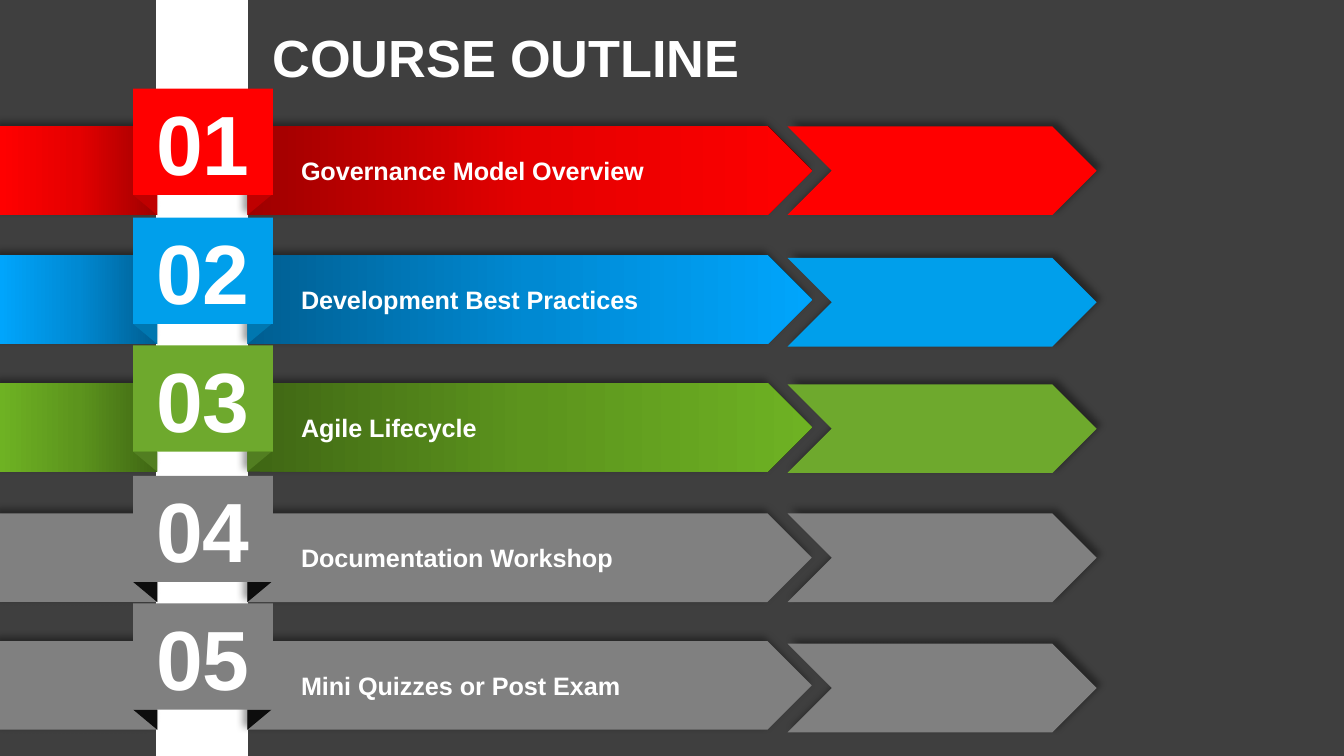
from collections import namedtuple
from copy import deepcopy

from lxml import etree
from pptx import Presentation
from pptx.dml.color import RGBColor
from pptx.enum.shapes import MSO_SHAPE
from pptx.enum.text import MSO_ANCHOR, PP_ALIGN
from pptx.oxml.ns import qn
from pptx.util import Inches, Pt

COLORS = {
    "background": "3F3F3F",
    "white": "FFFFFF",
    "shadow": "000000",
    "red": "FF0000",
    "red_fold": "BF0000",
    "red_bar": ("9E0000", "E40000", "FF0000"),
    "blue": "009FEB",
    "blue_fold": "0077B0",
    "blue_bar": ("005E91", "0089D2", "00A5FC"),
    "green": "6EA92D",
    "green_fold": "527E21",
    "green_bar": ("3F6614", "5C941D", "6EB223"),
    "gray": "808080",
    "gray_fold": "0D0D0D",
    "gray_bar": "808080",
}

Topic = namedtuple("Topic", "title color top chevron_top")
TOPICS = [
    Topic("Governance Model Overview", "red", 0.66, 0.94),
    Topic("Development Best Practices", "blue", 1.62, 1.92),
    Topic("Agile Lifecycle", "green", 2.57, 2.86),
    Topic("Documentation Workshop", "gray", 3.54, 3.82),
    Topic("Mini Quizzes or Post Exam", "gray", 4.49, 4.79),
]

SLIDE_WIDTH = 10
SLIDE_HEIGHT = SLIDE_WIDTH * 9 / 16
POLE_LEFT, POLE_WIDTH = 1.17, 0.67
POLE_RIGHT = POLE_LEFT + POLE_WIDTH
FOLD_WIDTH, FOLD_HEIGHT = 0.18, 0.15
BADGE_LEFT, BADGE_WIDTH, BADGE_HEIGHT = 0.99, 1.04, 0.79
BAR_OFFSET, BAR_HEIGHT = 0.28, 0.66


def rgb(name):
    return RGBColor.from_string(COLORS[name])


class OutlineSlide:
    font_name = "Arial"

    def __init__(self, presentation):
        self.slide = presentation.slides.add_slide(presentation.slide_layouts[6])
        background = self.slide.background.fill
        background.solid()
        background.fore_color.rgb = rgb("background")

    def shape(self, shapes, preset, left, top, width, height, color, angle=0):
        """Add a borderless shape; a colour that is a tuple becomes a gradient."""
        shape = shapes.add_shape(
            preset, Inches(left), Inches(top), Inches(width), Inches(height))
        shape.shadow.inherit = False
        if isinstance(COLORS[color], tuple):
            self.gradient(shape, COLORS[color], angle)
        else:
            shape.fill.solid()
            shape.fill.fore_color.rgb = rgb(color)
        shape.line.fill.background()
        return shape

    def gradient(self, shape, stop_colors, angle):
        shape.fill.gradient()
        shape.fill.gradient_angle = angle
        stop_list = next(shape.element.spPr.iter(qn("a:gsLst")))
        stop_list.append(deepcopy(stop_list[0]))
        for i, (stop, color) in enumerate(zip(shape.fill.gradient_stops, stop_colors)):
            stop.color.rgb = RGBColor.from_string(color)
            stop.position = i / (len(stop_colors) - 1)

    def shadow(self, shape, direction):
        effects = shape.element.spPr.find(qn("a:effectLst"))
        outer = etree.SubElement(
            effects, qn("a:outerShdw"), blurRad=str(Pt(4)), dist=str(Pt(3)),
            dir=str(direction * 60000), algn="ctr", rotWithShape="0")
        color = etree.SubElement(outer, qn("a:srgbClr"), val=COLORS["shadow"])
        etree.SubElement(color, qn("a:alpha"), val="40000")

    def text(self, shape, words, size, align=PP_ALIGN.LEFT, anchor=MSO_ANCHOR.MIDDLE,
             margins=(0.08, 0.04), indent=0):
        frame = shape.text_frame
        frame.word_wrap = True
        frame.vertical_anchor = anchor
        frame.margin_left = frame.margin_right = Inches(margins[0])
        frame.margin_top = frame.margin_bottom = Inches(margins[1])
        frame.text = words
        paragraph = frame.paragraphs[0]
        paragraph.alignment = align
        if indent:
            properties = paragraph._p.get_or_add_pPr()
            properties.set("marL", str(Inches(indent)))
            properties.set("indent", "0")
        font = paragraph.runs[0].font
        font.name = self.font_name
        font.size = Pt(size)
        font.bold = True
        font.color.rgb = rgb("white")

    def pole(self):
        pole = self.shape(self.slide.shapes, MSO_SHAPE.RECTANGLE,
                          POLE_LEFT, 0, POLE_WIDTH, SLIDE_HEIGHT, "white")
        pole.line.color.rgb = rgb("white")
        pole.line.width = Pt(1)

    def title(self, words):
        box = self.slide.shapes.add_textbox(
            Inches(1.93), Inches(0.09), Inches(9.32), Inches(0.63))
        self.text(box, words, 28, anchor=MSO_ANCHOR.TOP, margins=(0.1, 0.1))

    def ribbon(self, number, topic):
        """Add the bar wrapped round the pole, with its folds and number badge."""
        shapes = self.slide.shapes.add_group_shape().shapes
        bar_top = topic.top + BAR_OFFSET
        bar_color, fold_color = topic.color + "_bar", topic.color + "_fold"

        bar = self.shape(shapes, MSO_SHAPE.PENTAGON, POLE_RIGHT, bar_top,
                         4.2, BAR_HEIGHT, bar_color)
        self.text(bar, topic.title, 13.5, indent=0.32)
        tail = self.shape(shapes, MSO_SHAPE.RECTANGLE, 0, bar_top,
                          POLE_LEFT, BAR_HEIGHT, bar_color, angle=180)
        for part in (bar, tail):
            self.shadow(part, 225)

        fold_top = topic.top + BADGE_HEIGHT
        for left, flipped in ((POLE_RIGHT, True), (BADGE_LEFT, False)):
            fold = self.shape(shapes, MSO_SHAPE.RIGHT_TRIANGLE, left, fold_top,
                              FOLD_WIDTH, FOLD_HEIGHT, fold_color)
            fold.rotation = 180
            if flipped:
                fold.element.spPr.find(qn("a:xfrm")).set("flipH", "1")

        badge = self.shape(shapes, MSO_SHAPE.RECTANGLE, BADGE_LEFT, topic.top,
                           BADGE_WIDTH, BADGE_HEIGHT, topic.color)
        self.text(badge, f"{number:02}", 45, align=PP_ALIGN.CENTER)

    def chevron(self, topic):
        chevron = self.shape(self.slide.shapes, MSO_SHAPE.CHEVRON, 5.86,
                             topic.chevron_top, 2.3, BAR_HEIGHT, topic.color)
        self.shadow(chevron, 315)


def main():
    presentation = Presentation()
    presentation.slide_width = Inches(SLIDE_WIDTH)
    presentation.slide_height = Inches(SLIDE_HEIGHT)

    outline = OutlineSlide(presentation)
    outline.pole()
    outline.title("COURSE OUTLINE")
    for number, topic in enumerate(TOPICS, start=1):
        outline.ribbon(number, topic)
        outline.chevron(topic)

    presentation.save("out.pptx")


if __name__ == "__main__":
    main()
